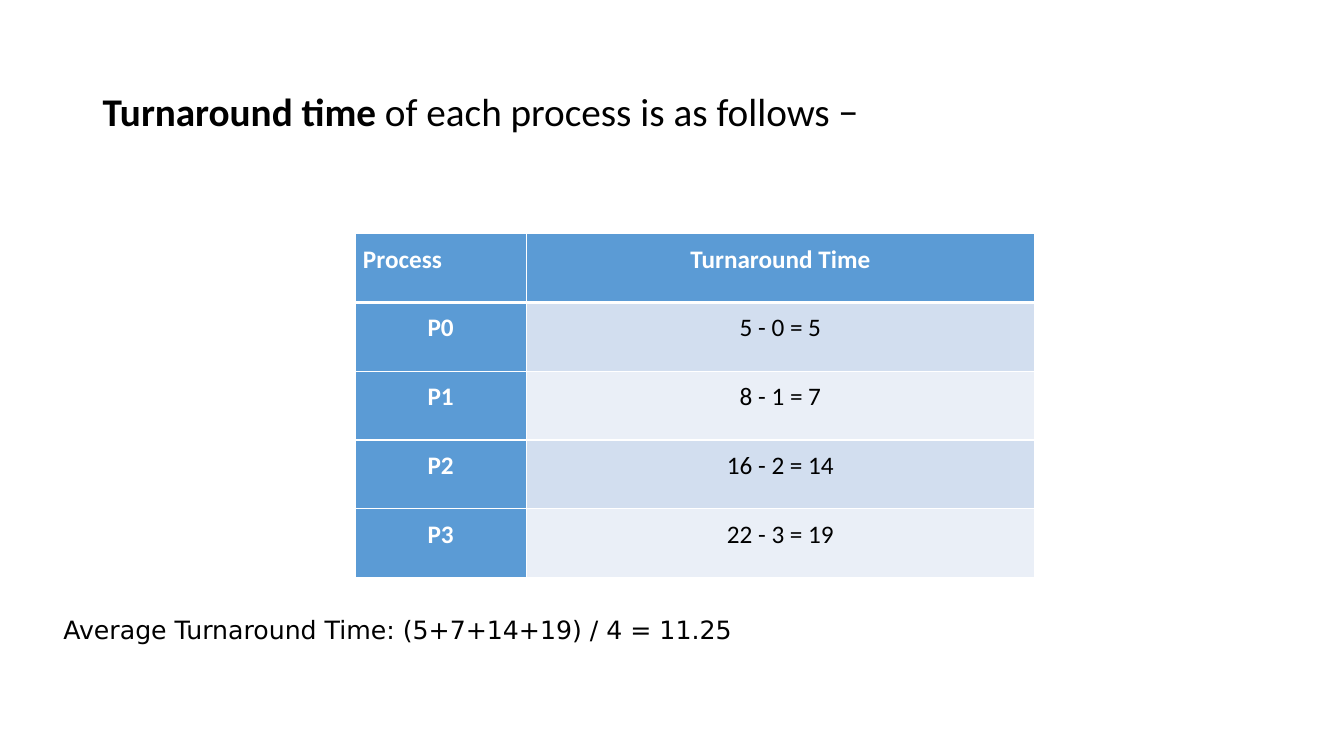
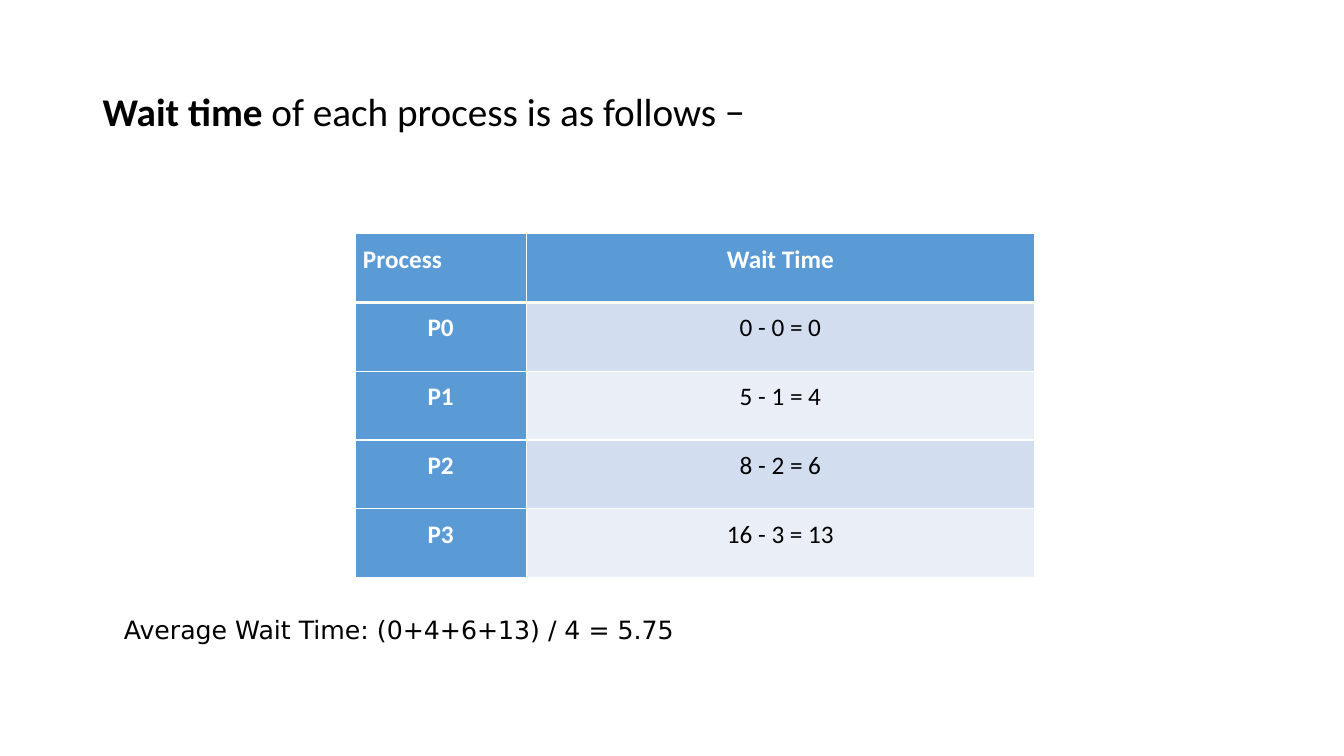
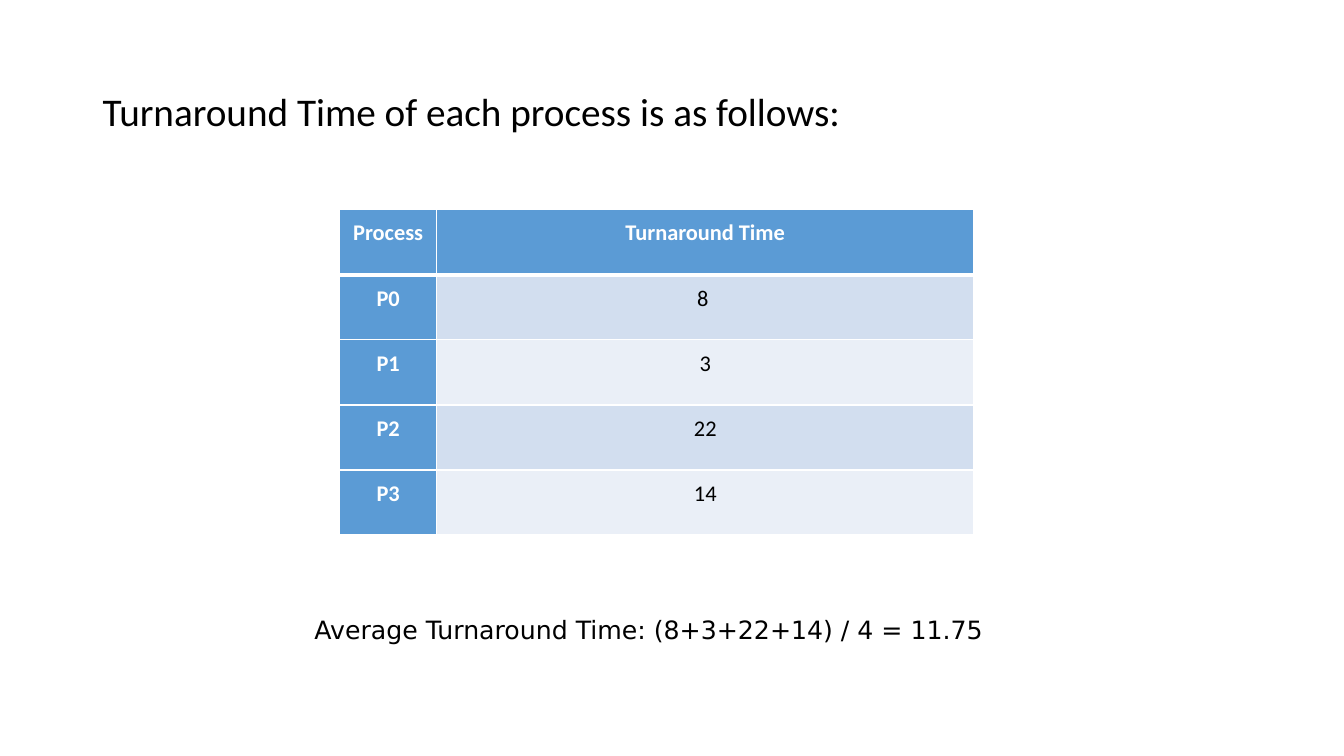
from dataclasses import dataclass

from lxml.etree import SubElement
from pptx import Presentation
from pptx.dml.color import RGBColor
from pptx.enum.text import MSO_ANCHOR as Anchor, PP_ALIGN as Align
from pptx.oxml.ns import qn
from pptx.util import Inches, Pt


@dataclass(frozen=True)
class Theme:
    text: str = "000000"
    light: str = "FFFFFF"
    accent: str = "5B9BD5"
    bands: tuple = ("D2DEEF", "EAEFF7")
    font: str = "Calibri"
    caption_font: str = "DejaVu Sans"
    title_size: int = 28
    caption_size: int = 18
    rule: int = 1
    header_rule: int = 3
    cell_inset: float = 0.08


THEME = Theme()
SLIDE_SIZE = (13.33, 7.5)
TITLE_BOX = (0.92, 0.4, 11.5, 1.45)
PROCESSES = ("P0", "P1", "P2", "P3")

# Boxes are left, top, width, height in inches; title runs are (text, bold).
STEPS_TABLE = dict(box=(3.52, 2.32, 6.74, 3.41), first_column=1.7, size=18,
                   corner_align=Align.LEFT)
TOTALS_TABLE = dict(box=(3.37, 2.08, 6.29, 3.23), first_column=0.96, size=16,
                    corner_align=Align.CENTER)
CAPTION_SPACING = dict(line_spacing=Pt(18), space_after=7.2)

SLIDES = [
    dict(title=[("Turnaround time", True), (" of each process is as follows −", False)],
         heading="Turnaround Time",
         values=("5 - 0 = 5", "8 - 1 = 7", "16 - 2 = 14", "22 - 3 = 19"),
         table=STEPS_TABLE,
         caption="Average Turnaround Time: (5+7+14+19) / 4 = 11.25",
         caption_box=(0.53, 6.09, 7.14, 0.35), caption_format=CAPTION_SPACING),
    dict(title=[("Wait time", True), (" of each process is as follows −", False)],
         heading="Wait Time",
         values=("0 - 0 = 0", "5 - 1 = 4", "8 - 2 = 6", "16 - 3 = 13"),
         table=STEPS_TABLE,
         caption="Average Wait Time: (0+4+6+13) / 4 = 5.75",
         caption_box=(1.13, 6.09, 5.93, 0.35), caption_format=CAPTION_SPACING),
    dict(title=[("Turnaround Time of each process is as follows:", False)],
         heading="Turnaround Time",
         values=("8 ", "3", "22", "14"),
         table=TOTALS_TABLE,
         caption="Average Turnaround Time: (8+3+22+14) / 4 = 11.75",
         caption_box=(3.02, 6.05, 7.07, 0.4), caption_format={}),
]


def write_text(frame, runs, *, size, font=THEME.font, color=THEME.text,
               align=Align.LEFT, line_spacing=1.0, space_after=0):
    """Fill the frame's first paragraph with (text, bold) runs."""
    paragraph = frame.paragraphs[0]
    paragraph.alignment = align
    paragraph.line_spacing = line_spacing
    paragraph.space_after = Pt(space_after)
    for text, bold in runs:
        run = paragraph.add_run()
        run.text = text
        run.font.size = Pt(size)
        run.font.name = font
        run.font.bold = bold
        run.font.color.rgb = RGBColor.from_string(color)


def add_text_box(slide, box, runs, anchor=Anchor.TOP, **text_format):
    frame = slide.shapes.add_textbox(*map(Inches, box)).text_frame
    frame.word_wrap = True
    frame.vertical_anchor = anchor
    write_text(frame, runs, **text_format)


def set_borders(cell, widths):
    """Draw the cell's borders, given as a width in points per side."""
    properties = cell._tc.get_or_add_tcPr()
    for side, width in widths.items():
        line = SubElement(properties, qn(f"a:ln{side}"), w=str(Pt(width)))
        fill = SubElement(line, qn("a:solidFill"))
        SubElement(fill, qn("a:srgbClr"), val=THEME.light)


def style_cell(cell, row, column):
    widths = dict.fromkeys("LRTB", THEME.rule)
    if row == 0:
        widths["B"] = THEME.header_rule
    elif row == 1:
        widths["T"] = THEME.header_rule
    set_borders(cell, widths)
    is_header = row == 0 or column == 0
    color = THEME.accent if is_header else THEME.bands[(row - 1) % 2]
    cell.fill.solid()
    cell.fill.fore_color.rgb = RGBColor.from_string(color)
    cell.margin_left = cell.margin_right = Inches(THEME.cell_inset)
    cell.margin_top = cell.margin_bottom = Inches(THEME.cell_inset)
    return is_header


def add_process_table(slide, rows, box, first_column, size, corner_align):
    table = slide.shapes.add_table(len(rows), 2, *map(Inches, box)).table
    table.columns[0].width = Inches(first_column)
    table.columns[1].width = Inches(box[2] - first_column)
    for row, texts in enumerate(rows):
        for column, text in enumerate(texts):
            cell = table.cell(row, column)
            is_header = style_cell(cell, row, column)
            write_text(cell.text_frame, [(text, is_header)], size=size,
                       color=THEME.light if is_header else THEME.text,
                       align=corner_align if row == column == 0 else Align.CENTER,
                       line_spacing=1.07, space_after=15)


def add_process_slide(presentation, content):
    slide = presentation.slides.add_slide(presentation.slide_layouts[6])
    add_text_box(slide, TITLE_BOX, content["title"], anchor=Anchor.MIDDLE,
                 size=THEME.title_size, line_spacing=0.9)
    rows = [("Process", content["heading"]), *zip(PROCESSES, content["values"])]
    add_process_table(slide, rows, **content["table"])
    add_text_box(slide, content["caption_box"], [(content["caption"], False)],
                 size=THEME.caption_size, font=THEME.caption_font,
                 **content["caption_format"])


def main():
    presentation = Presentation()
    presentation.slide_width, presentation.slide_height = map(Inches, SLIDE_SIZE)
    for content in SLIDES:
        add_process_slide(presentation, content)
    presentation.save("out.pptx")


if __name__ == "__main__":
    main()
